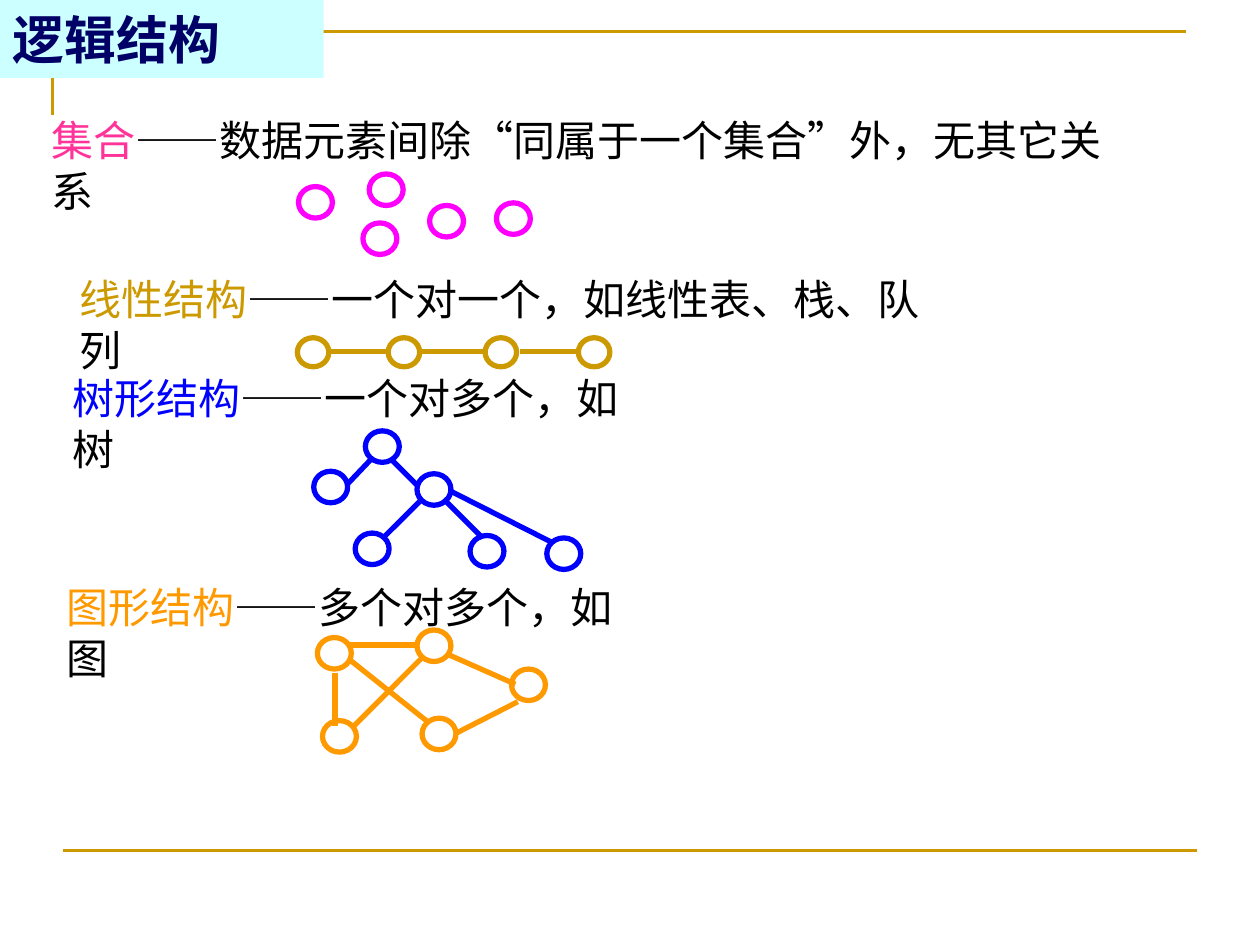
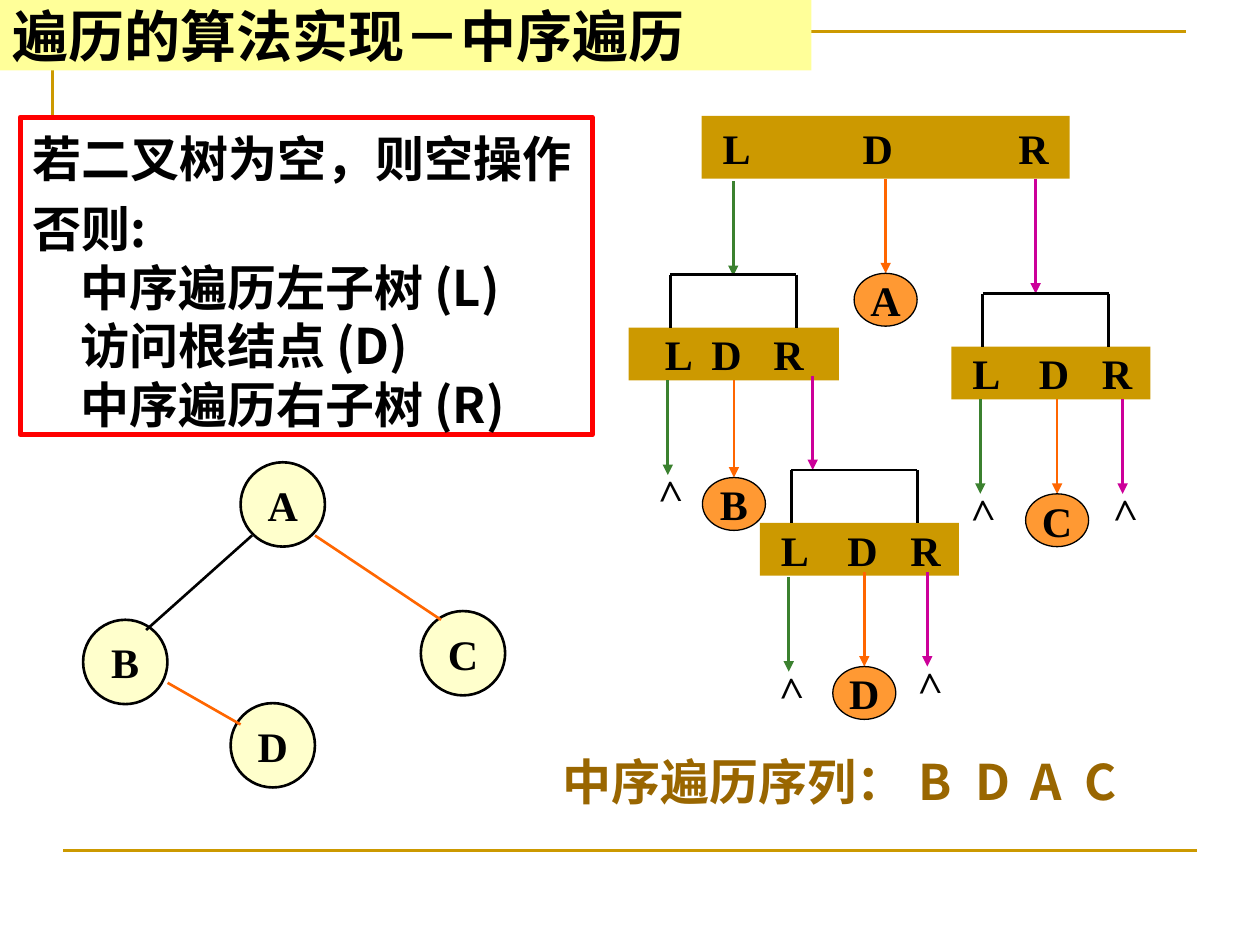
from lxml import etree
from pptx import Presentation
from pptx.dml.color import RGBColor
from pptx.enum.shapes import MSO_CONNECTOR, MSO_SHAPE
from pptx.enum.text import MSO_ANCHOR, MSO_AUTO_SIZE, PP_ALIGN
from pptx.oxml.ns import qn
from pptx.util import Pt

LINE, OVAL, RECT = MSO_CONNECTOR.STRAIGHT, MSO_SHAPE.OVAL, MSO_SHAPE.RECTANGLE
MID, TOP = MSO_ANCHOR.MIDDLE, MSO_ANCHOR.TOP
LEFT, CENTER = PP_ALIGN.LEFT, PP_ALIGN.CENTER
SANS, SERIF = "Noto Sans CJK SC", "Times New Roman"

HEX = {
    "black": "000000", "gold": "CC9900", "cyan": "CCFFFF", "navy": "000066",
    "lemon": "FFFF99", "cream": "FFFFCC", "red": "FF0000", "pink": "FF3399",
    "fuchsia": "FF00FF", "blue": "0000FF", "amber": "FF9900", "peach": "FF9933",
    "orange": "FF6600", "green": "3B812F", "magenta": "CC0099", "brown": "996600",
}

# Each kind: text box (left, top, width), node size, node corners, links
KINDS = [
    dict(name="集合", note="——数据元素间除“同属于一个集合”外，无其它关系",
         ink="pink", pen="fuchsia", box=(22.3, 59, 619.2), size=(19.4, 18),
         nodes=[(170.6, 106.6), (211, 99.4), (207.4, 127.4), (245.5, 117.4),
                (283.7, 115.9)],
         links=[]),
    dict(name="线性结构", note="——一个对一个，如线性表、栈、队列",
         ink="gold", pen="gold", box=(38.2, 149.8, 499), size=(18, 16.6),
         nodes=[(x, 193) for x in (169.9, 221.8, 277.2, 330.5)],
         links=[(a, 200.9, b, 200.9)
                for a, b in ((187.9, 221), (239, 277.9), (297.4, 329))]),
    dict(name="树形结构", note="——一个对多个，如树",
         ink="blue", pen="blue", box=(34.6, 206.6, 331.2), size=(19.4, 18),
         nodes=[(208.8, 246.2), (179.3, 269.3), (238.3, 270.7), (203, 304.6),
                (268.6, 306), (312.5, 307.4)],
         links=[(211.7, 262.8, 198, 277.2), (239.8, 286.6, 218.9, 307.4),
                (223.2, 262.1, 238.3, 277.2), (253.4, 285.1, 275.8, 307.4),
                (257.8, 280.8, 316.1, 310.3)]),
    dict(name="图形结构", note="——多个对多个，如图",
         ink="amber", pen="amber", box=(31, 326.2, 331.2), size=(19.4, 18),
         nodes=[(238.3, 360), (184.3, 411.8), (241.2, 410.4), (292.3, 382.3),
                (181.4, 364.3)],
         links=[(191.5, 384.5, 191.5, 414.7), (200.2, 377.3, 245.5, 413.3),
                (257, 374.4, 294.5, 391), (241.2, 375.8, 200.9, 416.2),
                (295.9, 401, 260.6, 419), (200.2, 368.6, 239, 368.6)]),
]

# Text, left indent, space before
STEPS = [
    ("若二叉树为空，则空操作", 0, 0),
    ("否则:", 0, 7),
    ("中序遍历左子树 (L)", 27.4, 0),
    ("访问根结点 (D)", 27.4, 0),
    ("中序遍历右子树 (R)", 27.4, 0),
]
TREE = {"A": (137.5, 264.2), "B": (47.5, 354.2), "C": (240.5, 349.2),
        "D": (131.8, 401.8)}
BRANCHES = [("black", 144, 306, 83.5, 360), ("orange", 180, 306, 252, 354.2),
            ("orange", 95.8, 390.2, 137.5, 414)]

# One call of the traversal: bar box, bracket left edge, inset and tabs of L D R,
# visited node, then (x, start, end, leaf) of the L, D and R arrows
CALLS = [
    dict(bar=(401, 66.2, 210.2, 36), hook=None, inset=12, tabs=(80, 169), node="A",
         arrows=[(419, 103.7, 157.7, False), (506.1, 102.2, 156.2, False),
                 (591.8, 102.2, 167.8, False)]),
    dict(bar=(359.3, 187.2, 120.2, 30.2), hook=383, inset=20.7, tabs=(26.5, 62),
         node="B",
         arrows=[(381.6, 217.4, 271.4, True), (419.4, 218.9, 272.9, False),
                 (464.4, 214.6, 268.6, False)]),
    dict(bar=(434.2, 298.8, 113.8, 30.2), hook=452.2, inset=12, tabs=(38, 74),
         node="D",
         arrows=[(450.7, 329.8, 383.8, True), (493.9, 326.9, 380.9, False),
                 (529.9, 326.9, 380.9, True)]),
    dict(bar=(543.6, 198, 113.8, 30.2), hook=561.6, inset=12, tabs=(38, 74),
         node="C",
         arrows=[(x, 228.2, 282.2, leaf)
                 for x, leaf in ((560.2, True), (604.1, False), (641.5, True))]),
]
HOOK = (72, 30.2)
DISC = (36, 30.2)
LEAF = (30.2, 36)


def rgb(name):
    return RGBColor.from_string(HEX[name])


def ink(run, size, color="black", face=SERIF, bold=True):
    font = run.font
    font.size, font.bold, font.name = Pt(size), bold, face
    font.color.rgb = rgb(color)
    etree.SubElement(run._r.get_or_add_rPr(), qn("a:ea")).set("typeface", SANS)


def paint(shape, fill=None, pen=None, width=1.5):
    if fill:
        shape.fill.solid()
        shape.fill.fore_color.rgb = rgb(fill)
    else:
        shape.fill.background()
    if pen:
        shape.line.color.rgb = rgb(pen)
        shape.line.width = Pt(width)
    else:
        shape.line.fill.background()


def place(shape, x, y, w, h):
    shape.left, shape.top, shape.width, shape.height = Pt(x), Pt(y), Pt(w), Pt(h)


def frame(shape, anchor=TOP, left=7.2, top=3.6, wrap=True):
    """Set the insets, anchor and wrapping of a text frame and return it."""
    tf = shape.text_frame
    tf.auto_size, tf.word_wrap, tf.vertical_anchor = MSO_AUTO_SIZE.NONE, wrap, anchor
    tf.margin_left, tf.margin_right = Pt(left), Pt(min(left, 7.2))
    tf.margin_top = tf.margin_bottom = Pt(top)
    return tf


def add(slide, kind, box, fill=None, pen=None, width=1.5):
    shape = slide.shapes.add_shape(kind, *map(Pt, box))
    shape.shadow.inherit = False
    paint(shape, fill, pen, width)
    return shape


def label(shape, text):
    para = frame(shape, MID, 0, 0, False).paragraphs[0]
    para.text, para.alignment = text, CENTER
    ink(para.runs[0], 24)


def link(slide, ends, color, width=1.5, arrow=False):
    line = slide.shapes.add_connector(LINE, *map(Pt, ends))
    line.line.color.rgb, line.line.width = rgb(color), Pt(width)
    if arrow:
        etree.SubElement(line.line._get_or_add_ln(), qn("a:tailEnd")).set(
            "type", "triangle")
    etree.SubElement(line._element.spPr, qn("a:effectLst"))
    return line


def tabs(para, stops):
    tab_list = etree.SubElement(para._p.get_or_add_pPr(), qn("a:tabLst"))
    for stop in stops:
        etree.SubElement(tab_list, qn("a:tab"), pos=str(int(Pt(stop))), algn="l")


def start(deck, layout, text, box, fill, size, color, face):
    """Add a slide with the shared rules and a title on a coloured band."""
    slide = deck.slides.add_slide(deck.slide_layouts[layout])
    pen = slide.shapes.build_freeform(Pt(30), Pt(66))
    pen.add_line_segments([(Pt(30), Pt(18)), (Pt(678), Pt(18))], close=False)
    corner = pen.convert_to_shape()
    corner.shadow.inherit = False
    paint(corner, pen="gold")
    link(slide, (36, 486, 684, 486), "gold")

    title = slide.shapes.title
    title.element.getparent().append(title.element)
    place(title, 0, 0, *box)
    paint(title, fill)
    para = frame(title, MID, top=0).paragraphs[0]
    para.text, para.alignment = text, LEFT
    ink(para.runs[0], size, color, face)
    return slide


def show_kind(slide, kind):
    for corner in kind["nodes"]:
        add(slide, OVAL, corner + kind["size"], pen=kind["pen"], width=3)
    for ends in kind["links"]:
        link(slide, ends, kind["pen"], 3)
    x, y, w = kind["box"]
    box = slide.shapes.add_textbox(Pt(x), Pt(y), Pt(w), Pt(36))
    para = frame(box, top=6).paragraphs[0]
    para.line_spacing = Pt(29.1)
    for text, color in ((kind["name"], kind["ink"]), (kind["note"], "black")):
        run = para.add_run()
        run.text = text
        ink(run, 24, color, bold=False)


def show_steps(body):
    place(body, 11.5, 67, 326.9, 181.4)
    paint(body, pen="red", width=3)
    tf = frame(body, top=6.5)
    tf.text = "\n".join(step[0] for step in STEPS)
    for para, (_, indent, before) in zip(tf.paragraphs, STEPS):
        props = para._p.get_or_add_pPr()
        props.set("marL", str(int(Pt(indent))))
        props.set("indent", "0")
        etree.SubElement(props, qn("a:buNone"))
        para.space_before, para.line_spacing = Pt(before), Pt(33.4)
        ink(para.runs[0], 28, face=SANS)


def show_leaf(slide, x, end):
    w, h = LEAF
    box = slide.shapes.add_textbox(Pt(x - w / 2), Pt(end - 9.3), Pt(w), Pt(h))
    box.rotation = 268.3
    para = frame(box).paragraphs[0]
    para.text = ">"
    ink(para.runs[0], 24)


def show_call(slide, call):
    x, y, w, h = call["bar"]
    bar = add(slide, RECT, call["bar"], "gold")
    para = frame(bar, MID, call["inset"], 0).paragraphs[0]
    para.text, para.alignment = "L\tD\tR", LEFT
    tabs(para, call["tabs"])
    ink(para.runs[0], 24)

    if call["hook"]:
        a, b, top = call["hook"], call["hook"] + HOOK[0], y - HOOK[1]
        for ends in ((a, top, b, top), (a, top, a, y), (b, top, b, y)):
            link(slide, ends, "black")

    for (ax, y1, y2, leaf), color in zip(call["arrows"],
                                         ("green", "orange", "magenta")):
        line = link(slide, (ax, y1, ax, y2), color, arrow=True)
        if color == "orange":
            dw, dh = DISC
            disc = add(slide, OVAL, (ax - dw / 2, y2, dw, dh), "peach", "black", 0.75)
            label(disc, call["node"])
            if abs(ax - x - w / 2) < 1:
                line.begin_connect(bar, 2)
        if leaf:
            show_leaf(slide, ax, y2)


def main():
    deck = Presentation()
    deck.slide_width, deck.slide_height = Pt(720), Pt(540)

    slide = start(deck, 5, "逻辑结构", (185, 44.6), "cyan", 29.6, "navy", SERIF)
    for kind in KINDS:
        show_kind(slide, kind)

    slide = start(deck, 1, "遍历的算法实现－中序遍历", (463.7, 40.3), "lemon", 32,
                  "black", SANS)
    show_steps(slide.placeholders[1])
    for name, corner in TREE.items():
        label(add(slide, OVAL, corner + (48.2, 48.2), "cream", "black"), name)
    for color, *ends in BRANCHES:
        link(slide, ends, color)
    for call in CALLS:
        show_call(slide, call)

    order = slide.shapes.add_textbox(Pt(314.6), Pt(426), Pt(379.4), Pt(74.9))
    para = frame(order).paragraphs[0]
    para.text = "中序遍历序列：\tB\tD\tA\tC"
    tabs(para, (203, 235.5, 267, 298))
    for run in para.runs:
        ink(run, 28, "brown", SANS)

    deck.save("out.pptx")


if __name__ == "__main__":
    main()
